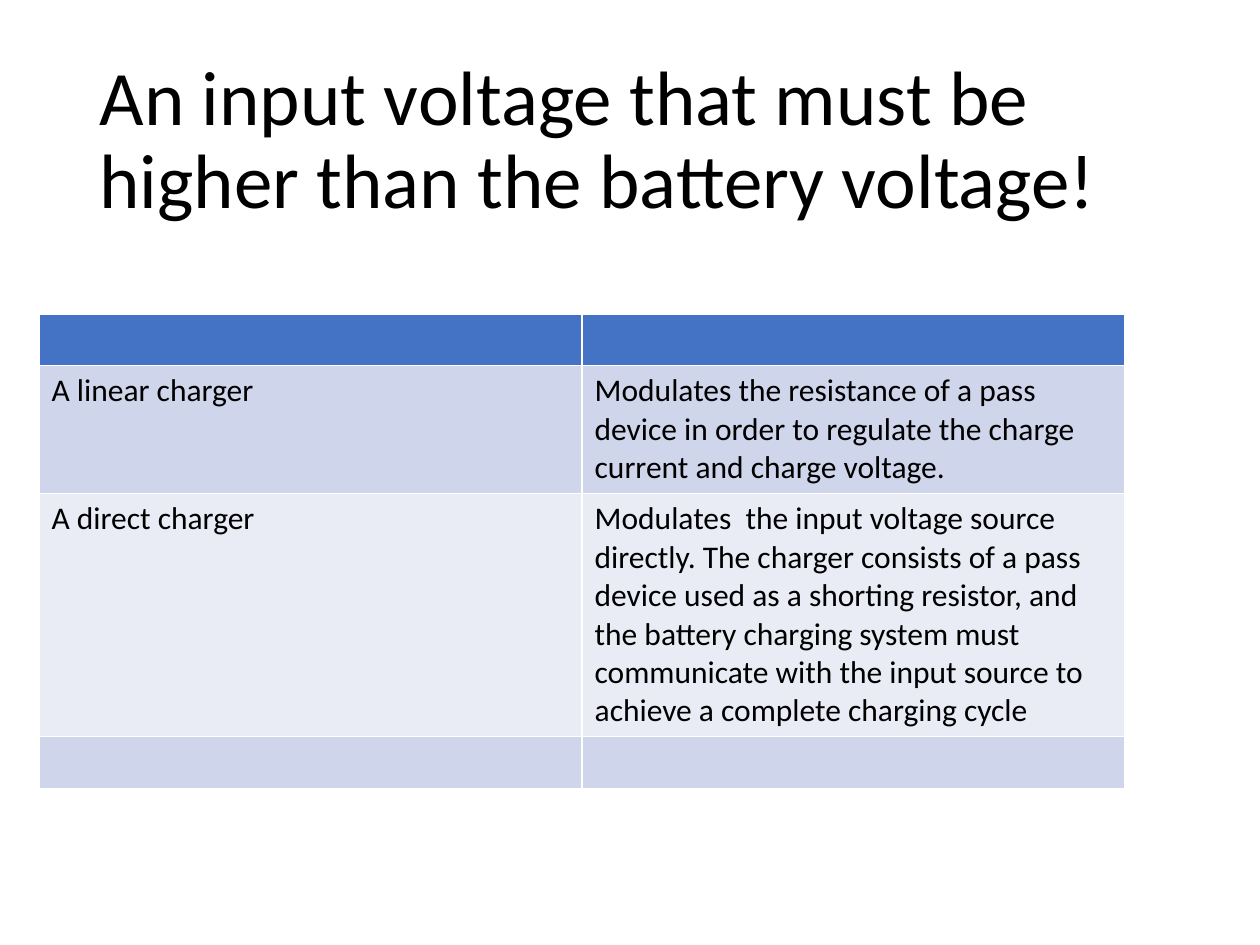
"""Build a slide comparing linear and direct battery chargers."""
from dataclasses import dataclass

from pptx import Presentation
from pptx.dml.color import RGBColor
from pptx.enum.text import MSO_ANCHOR, PP_ALIGN
from pptx.util import Inches, Pt

BLACK = RGBColor(0x00, 0x00, 0x00)
HEADER_BLUE = RGBColor(0x44, 0x72, 0xC4)
BAND_DARK = RGBColor(0xCF, 0xD5, 0xEA)
BAND_LIGHT = RGBColor(0xE9, 0xEB, 0xF5)

TITLE_FONT = {"name": "Calibri", "size": Pt(44), "bold": False}
BODY_FONT = {"name": "Calibri", "size": Pt(18), "bold": False}
TITLE_BOX = {"left": Inches(0.69), "top": Inches(0.4),
             "width": Inches(8.62), "height": Inches(1.45)}
TITLE_FRAME = {"word_wrap": True, "vertical_anchor": MSO_ANCHOR.MIDDLE}
TITLE_PARAGRAPH = {"alignment": PP_ALIGN.LEFT, "line_spacing": 0.9}
ROW_HEIGHT = Inches(0.41)


@dataclass
class ChargerRow:
    fill: RGBColor
    charger: str = ""
    method: str = ""


CHARGER_ROWS = [
    ChargerRow(HEADER_BLUE),
    ChargerRow(
        BAND_DARK, "A linear charger",
        "Modulates the resistance of a pass device in order to regulate "
        "the charge current and charge voltage."),
    ChargerRow(
        BAND_LIGHT, "A direct charger",
        "Modulates  the input voltage source directly. The charger consists "
        "of a pass device used as a shorting resistor, and the battery "
        "charging system must communicate with the input source to achieve "
        "a complete charging cycle"),
    ChargerRow(BAND_DARK),
]


def apply_format(target, values: dict) -> None:
    for attribute, value in values.items():
        setattr(target, attribute, value)


def write_title(slide, wording: str) -> None:
    title = slide.shapes.title
    apply_format(title, TITLE_BOX)
    title.text = wording
    apply_format(title.text_frame, TITLE_FRAME)
    paragraph = title.text_frame.paragraphs[0]
    apply_format(paragraph, TITLE_PARAGRAPH)
    font = paragraph.runs[0].font
    apply_format(font, TITLE_FONT)
    font.color.rgb = BLACK


def fill_cell(cell, wording: str, fill: RGBColor) -> None:
    cell.fill.solid()
    cell.fill.fore_color.rgb = fill
    cell.text = wording
    paragraph = cell.text_frame.paragraphs[0]
    for font in (paragraph.font, *(run.font for run in paragraph.runs)):
        apply_format(font, BODY_FONT)
        font.color.rgb = BLACK


def add_charger_table(slide, rows: list[ChargerRow]) -> None:
    table = slide.shapes.add_table(
        len(rows), 2, Inches(0.31), Inches(2.49),
        Inches(8.62), ROW_HEIGHT * len(rows)).table
    for table_row, row in zip(table.rows, rows):
        table_row.height = ROW_HEIGHT
        for cell, wording in zip(table_row.cells, (row.charger, row.method)):
            fill_cell(cell, wording, row.fill)


def main() -> None:
    deck = Presentation()
    apply_format(deck, {"slide_width": Inches(10), "slide_height": Inches(7.5)})
    slide = deck.slides.add_slide(deck.slide_layouts[5])
    write_title(slide, "An input voltage that must be higher than the battery voltage!")
    add_charger_table(slide, CHARGER_ROWS)
    deck.save("out.pptx")


if __name__ == "__main__":
    main()
